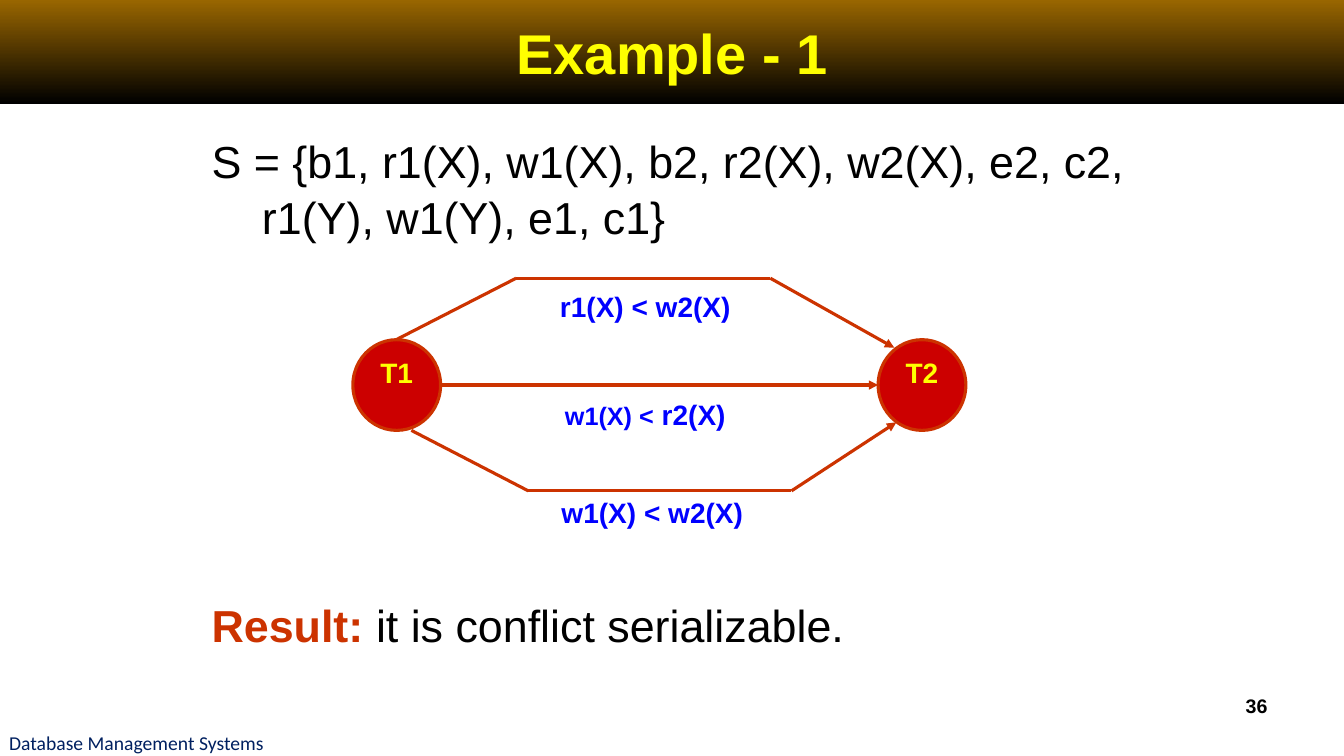
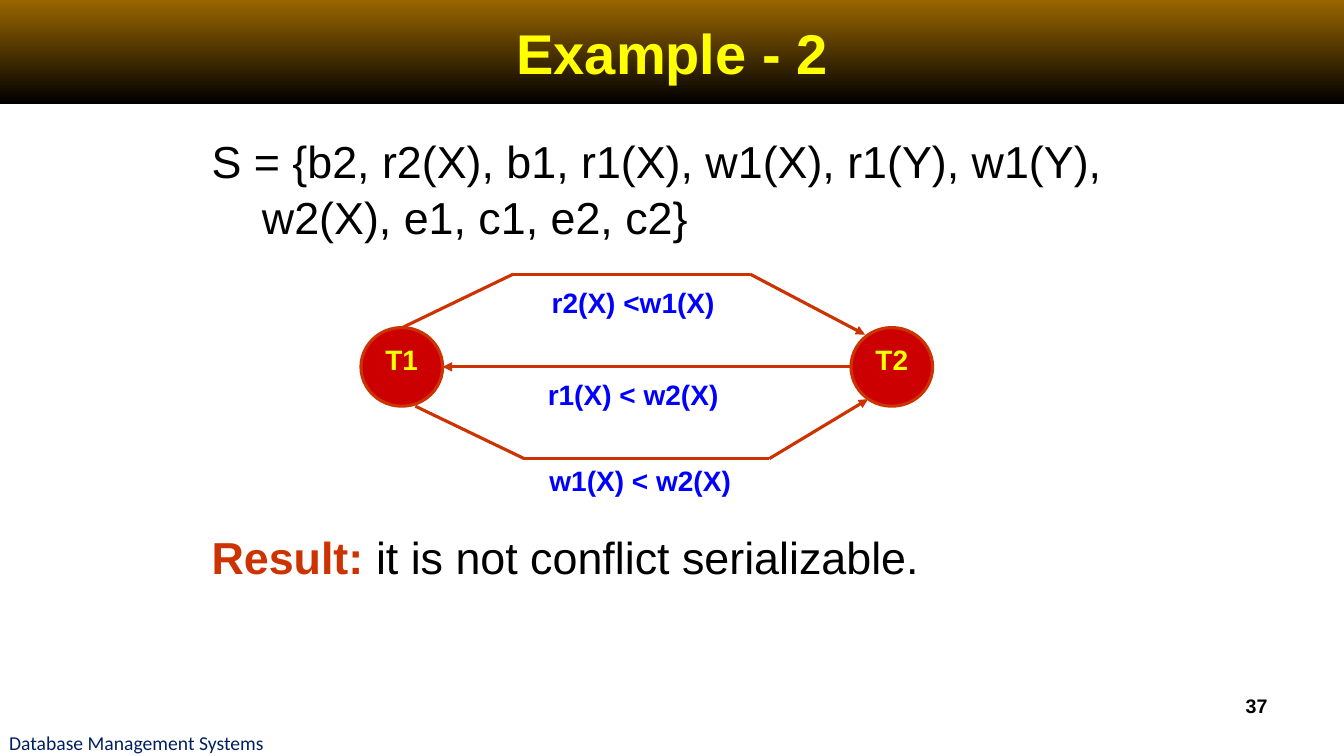
from dataclasses import dataclass
from itertools import pairwise

from lxml import etree
from pptx import Presentation
from pptx.dml.color import RGBColor
from pptx.enum.shapes import MSO_CONNECTOR, MSO_SHAPE
from pptx.enum.text import MSO_ANCHOR, PP_ALIGN
from pptx.oxml.ns import qn
from pptx.util import Inches, Pt

HUES = {
    "brown": "996600", "black": "000000", "white": "FFFFFF", "navy": "002060",
    "yellow": "FFFF00", "red": "CC0000", "rust": "CC3300", "blue": "0000FF",
}
WIDE, HIGH = 13.33, 7.5
LINE, STEP = 38.6, 48.2  # body line height and paragraph pitch, in points

Point = tuple[float, float]
Box = tuple[float, float, float, float]


@dataclass(frozen=True)
class Run:
    text: str
    size: float = 20
    hue: str = "black"
    bold: bool = False
    font: str = "Arial"


@dataclass(frozen=True)
class Label:
    box: Box
    runs: list[Run]


@dataclass(frozen=True)
class Edge:
    points: list[Point]


@dataclass(frozen=True)
class Page:
    title: str
    number: int
    plan: str
    result: str
    rows: int  # body rows from the plan down to the result
    nodes: list[Box]
    edges: list[Edge]
    labels: list[Label]


def color(name: str) -> RGBColor:
    return RGBColor.from_string(HUES[name])


def blue(text: str, size: float = 20) -> Run:
    return Run(text, size, "blue", True)


def write(frame, runs: list[Run], *, align=PP_ALIGN.LEFT, anchor=MSO_ANCHOR.TOP,
          inset: Point = (0.1, 0.05), hang: float = 0, before: float = 0,
          lead: float = 1, more: bool = False) -> None:
    """Fill a text frame, or add one more paragraph to it."""
    frame.word_wrap = True
    frame.vertical_anchor = anchor
    frame.margin_left = frame.margin_right = Inches(inset[0])
    frame.margin_top = frame.margin_bottom = Inches(inset[1])
    para = frame.add_paragraph() if more else frame.paragraphs[0]
    para.alignment = align
    para.line_spacing = lead
    if before:
        para.space_before = Pt(before)
    if hang:
        props = para._p.get_or_add_pPr()
        props.set("marL", str(Inches(hang)))
        props.set("indent", str(-Inches(hang)))
    for item in runs:
        run = para.add_run()
        run.text = item.text
        run.font.name = item.font
        run.font.size = Pt(item.size)
        run.font.bold = item.bold
        run.font.color.rgb = color(item.hue)


def place(slide, box: Box, kind=None):
    """Add a text box, or a preset shape when a kind is given."""
    spot = [Inches(side) for side in box]
    if kind is None:
        return slide.shapes.add_textbox(*spot)
    shape = slide.shapes.add_shape(kind, *spot)
    shape.shadow.inherit = False
    shape.line.fill.background()
    return shape


def link(slide, start: Point, end: Point, arrow: bool) -> None:
    line = slide.shapes.add_connector(
        MSO_CONNECTOR.STRAIGHT, *[Inches(v) for v in (*start, *end)])
    line.line.color.rgb = color("rust")
    line.line.width = Pt(2.25)
    if arrow:
        tip = etree.SubElement(line.line._get_or_add_ln(), qn("a:tailEnd"))
        tip.set("type", "triangle")
    etree.SubElement(line._element.spPr, qn("a:effectLst"))


def frame(slide, page: Page) -> None:
    # Title band
    band = place(slide, (0, 0, WIDE, 1.03), MSO_SHAPE.RECTANGLE)
    band.fill.gradient()
    band.fill.gradient_angle = 270
    for stop, name in zip(band.fill.gradient_stops, ("brown", "black")):
        stop.color.rgb = color(name)
    write(band.text_frame, [Run(page.title, 40, "yellow", True)],
          align=PP_ALIGN.CENTER, anchor=MSO_ANCHOR.MIDDLE)

    # Footer and page number
    foot = place(slide, (0.09, 7.23, 4.96, 0.27))
    write(foot.text_frame, [Run("Database Management Systems", 14, "navy", font="Calibri")],
          anchor=MSO_ANCHOR.MIDDLE, inset=(0, 0))
    mark = place(slide, (9.56, 6.83, 3.11, 0.52))
    write(mark.text_frame, [Run(str(page.number), 14, bold=True)], align=PP_ALIGN.RIGHT)


def graph(slide, page: Page) -> None:
    # Edge labels
    for label in page.labels:
        tag = place(slide, label.box, MSO_SHAPE.RECTANGLE)
        tag.fill.solid()
        tag.fill.fore_color.rgb = color("white")
        write(tag.text_frame, label.runs, align=PP_ALIGN.CENTER)

    # Transactions
    for count, box in enumerate(page.nodes, 1):
        node = place(slide, box, MSO_SHAPE.OVAL)
        node.fill.solid()
        node.fill.fore_color.rgb = color("red")
        node.line.color.rgb = color("rust")
        node.line.width = Pt(2.25)
        write(node.text_frame, [Run(f"T{count}", 20, "yellow", True)],
              align=PP_ALIGN.CENTER, inset=(0.03, 0.03))

    # Arrows, with the head on the last part of each edge
    for edge in page.edges:
        for start, end in pairwise(edge.points):
            link(slide, start, end, end == edge.points[-1])


def build(deck, page: Page) -> None:
    slide = deck.slides.add_slide(deck.slide_layouts[6])
    frame(slide, page)
    body = place(slide, (2, 1.25, 9.44, 5.68)).text_frame
    write(body, [Run(page.plan, 32)], hang=0.5, lead=1.05)
    write(body, [Run("Result:", 32, "rust", True), Run(page.result, 32)],
          hang=0.5, lead=1.05, before=page.rows * STEP - LINE, more=True)
    graph(slide, page)


PAGES = [
    Page(
        "Example - 1", 36,
        "S = {b1, r1(X), w1(X), b2, r2(X), w2(X), e2, c2, r1(Y), w1(Y), e1, c1}",
        " it is conflict serializable.", 6,
        [(left, 3.37, 0.87, 0.9) for left in (3.5, 8.71)],
        [
            Edge([(3.93, 3.37), (5.12, 2.76), (7.64, 2.76), (8.87, 3.45)]),
            Edge([(4.37, 3.82), (8.71, 3.82)]),
            Edge([(4.08, 4.27), (5.24, 4.87), (7.85, 4.87), (8.89, 4.19)]),
        ],
        [
            Label((5.24, 2.82, 2.32, 0.6), [blue("r1(X) < w2(X)")]),
            Label((5.24, 3.89, 2.32, 0.59), [blue("w1(X) <", 18), blue(" r2(X)")]),
            Label((5.31, 4.87, 2.32, 0.71), [blue("w1(X) < w2(X)")]),
        ],
    ),
    Page(
        "Example - 2", 37,
        "S = {b2, r2(X), b1, r1(X), w1(X), r1(Y), w1(Y), w2(X), e1, c1, e2, c2}",
        " it is not conflict serializable.", 5,
        [(left, 3.25, 0.81, 0.78) for left in (3.58, 8.44)],
        [
            Edge([(3.99, 3.25), (5.09, 2.72), (7.44, 2.72), (8.58, 3.32)]),
            Edge([(8.44, 3.64), (4.39, 3.64)]),
            Edge([(4.12, 4.03), (5.2, 4.55), (7.63, 4.55), (8.61, 3.96)]),
        ],
        [
            Label((5.2, 2.78, 2.16, 0.66), [blue("r2(X) <w1(X)")]),
            Label((5.2, 3.7, 2.16, 0.58), [blue("r1(X) < w2(X)")]),
            Label((5.27, 4.55, 2.16, 0.62), [blue("w1(X) < w2(X)")]),
        ],
    ),
]


def main() -> None:
    deck = Presentation()
    deck.slide_width, deck.slide_height = Inches(WIDE), Inches(HIGH)
    for page in PAGES:
        build(deck, page)
    deck.save("out.pptx")


if __name__ == "__main__":
    main()
